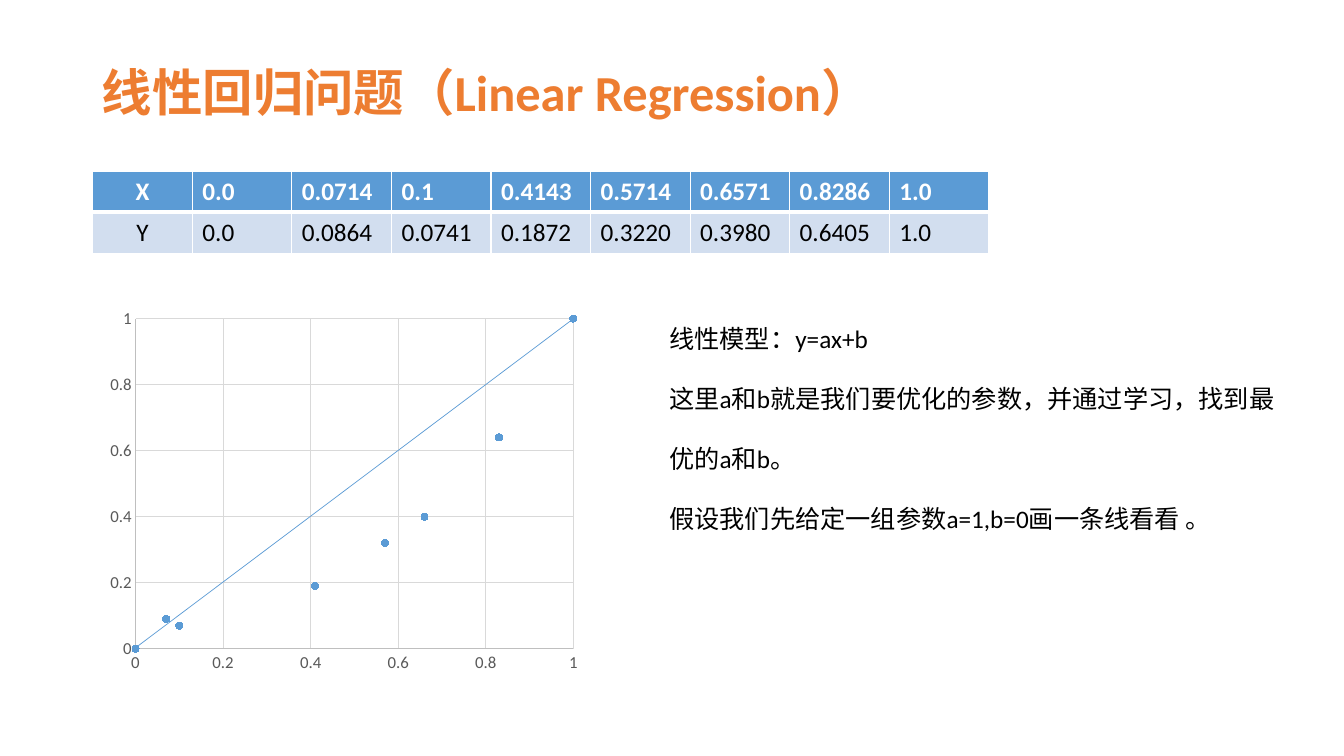
from dataclasses import dataclass

from lxml import etree
from pptx import Presentation
from pptx.chart.data import XyChartData
from pptx.dml.color import RGBColor
from pptx.enum.chart import XL_CHART_TYPE as CHART, XL_MARKER_STYLE as MARKER
from pptx.enum.chart import XL_TICK_MARK as TICK
from pptx.enum.shapes import MSO_CONNECTOR as CONNECTOR
from pptx.enum.text import MSO_ANCHOR as ANCHOR, PP_ALIGN as ALIGN
from pptx.oxml import parse_xml
from pptx.oxml.ns import nsdecls, qn
from pptx.util import Inches, Pt


@dataclass(frozen=True)
class Theme:
    font: str = "Calibri"
    title: str = "ED7D31"
    accent: str = "5B9BD5"
    band: str = "D2DEEF"
    ink: str = "000000"
    paper: str = "FFFFFF"
    axis_text: str = "595959"
    axis: str = "BFBFBF"
    grid: str = "D9D9D9"
    title_size: int = 36
    body_size: int = 18
    axis_size: int = 12
    chart_size: int = 10


THEME = Theme()
X_VALUES = "0.0 0.0714 0.1 0.4143 0.5714 0.6571 0.8286 1.0".split()
Y_VALUES = "0.0 0.0864 0.0741 0.1872 0.3220 0.3980 0.6405 1.0".split()
MODEL_NOTES = [
    "线性模型：y=ax+b",
    "这里a和b就是我们要优化的参数，并通过学习，找到最",
    "优的a和b。",
    "假设我们先给定一组参数a=1,b=0画一条线看看 。",
]


def rgb(value):
    return RGBColor.from_string(value)


def format_font(font, size, color, bold=False):
    font.name = THEME.font
    font.size = Pt(size)
    font.bold = bold
    font.color.rgb = rgb(color)


def write_text(p, text, size=THEME.body_size, color=THEME.ink, bold=False,
               align=ALIGN.LEFT):
    p.alignment = align
    r = p.add_run()
    r.text = text
    format_font(r.font, size, color, bold)


def format_line(line, color, width):
    line.color.rgb = rgb(color)
    line.width = Pt(width)


def add_title(slide, text):
    sp = slide.shapes.title
    sp.left, sp.top = Inches(0.91), Inches(0.4)
    sp.width, sp.height = Inches(9.33), Inches(1.09)
    tf = sp.text_frame
    tf.vertical_anchor = ANCHOR.MIDDLE
    p = tf.paragraphs[0]
    p.line_spacing = 0.9
    write_text(p, text, size=THEME.title_size, color=THEME.title, bold=True)


def set_borders(cell, **widths):
    """Draw cell borders; widths in points, keyed by L, R, T and B."""
    tc_pr = cell._tc.get_or_add_tcPr()
    for side, width in widths.items():
        tc_pr.append(parse_xml(
            f'<a:ln{side} {nsdecls("a")} w="{Pt(width)}"><a:solidFill>'
            f'<a:srgbClr val="{THEME.paper}"/></a:solidFill></a:ln{side}>'))


def add_data_table(slide, rows):
    frame = slide.shapes.add_table(
        len(rows), len(rows[0]), Inches(0.92), Inches(1.7),
        Inches(8.89), Inches(0.81))
    for i, row in enumerate(rows):
        header = i == 0
        for j, text in enumerate(row):
            cell = frame.table.cell(i, j)
            set_borders(cell, L=1, R=1, T=1, B=3 if header else 1)
            cell.fill.solid()
            cell.fill.fore_color.rgb = rgb(THEME.accent if header else THEME.band)
            write_text(cell.text_frame.paragraphs[0], text, bold=header,
                       color=THEME.paper if header else THEME.ink,
                       align=ALIGN.LEFT if j else ALIGN.CENTER)


def format_axis(axis):
    axis.minimum_scale, axis.maximum_scale, axis.major_unit = 0, 1, 0.2
    axis.major_tick_mark = axis.minor_tick_mark = TICK.NONE
    axis.has_major_gridlines = True
    format_line(axis.major_gridlines.format.line, THEME.grid, 0.75)
    format_line(axis.format.line, THEME.axis, 0.75)
    axis.tick_labels.number_format = "General"
    axis.tick_labels.number_format_is_linked = False
    format_font(axis.tick_labels.font, THEME.axis_size, THEME.axis_text)


def set_plot_layout(chart, x, y, w, h):
    """Place the inner plot area, in fractions of the chart."""
    plot_area = chart._chartSpace.chart.plotArea
    for old in plot_area.findall(qn("c:layout")):
        plot_area.remove(old)
    layout = etree.Element(qn("c:layout"))
    manual = etree.SubElement(layout, qn("c:manualLayout"))
    settings = dict(layoutTarget="inner", xMode="edge", yMode="edge",
                    x=x, y=y, w=w, h=h)
    for tag, value in settings.items():
        etree.SubElement(manual, qn(f"c:{tag}")).set("val", str(value))
    plot_area.insert(0, layout)


def add_scatter(slide, xs, ys):
    data = XyChartData()
    points = data.add_series("Series 1")
    for x, y in zip(xs, ys):
        points.add_data_point(round(float(x), 2), round(float(y), 2))
    chart = slide.shapes.add_chart(
        CHART.XY_SCATTER, Inches(0.91), Inches(2.97),
        Inches(5.43), Inches(3.81), data).chart
    chart.has_title = chart.has_legend = False
    format_font(chart.font, THEME.chart_size, THEME.ink)
    chart.plots[0].vary_by_categories = False
    format_axis(chart.category_axis)
    format_axis(chart.value_axis)
    series = chart.plots[0].series[0]
    series.smooth = False
    series.format.line.fill.background()
    marker = series.marker
    marker.style, marker.size = MARKER.CIRCLE, 5
    marker.format.fill.solid()
    marker.format.fill.fore_color.rgb = rgb(THEME.accent)
    format_line(marker.format.line, THEME.accent, 0.75)
    set_plot_layout(chart, 0.08, 0.05, 0.8, 0.86)


def add_notes_box(slide, lines):
    sp = slide.shapes.add_textbox(Inches(6.54), Inches(3.16),
                                  Inches(6.44), Inches(2.83))
    tf = sp.text_frame
    tf.word_wrap = True
    tf.margin_right = 0
    for i, text in enumerate(lines):
        p = tf.add_paragraph() if i else tf.paragraphs[0]
        p.line_spacing = Pt(21.5)
        p.space_before = Pt(21.5 if i else 0)
        write_text(p, text)


def add_model_line(slide):
    """Draw y = x across the plot area."""
    line = slide.shapes.add_connector(
        CONNECTOR.STRAIGHT, Inches(1.34), Inches(6.43),
        Inches(5.69), Inches(3.16))
    format_line(line.line, THEME.accent, 0.5)
    etree.SubElement(line._element.spPr, qn("a:effectLst"))


def main():
    prs = Presentation()
    prs.slide_width, prs.slide_height = Inches(13.33), Inches(7.5)
    slide = prs.slides.add_slide(prs.slide_layouts.get_by_name("Title Only"))
    add_title(slide, "线性回归问题（Linear Regression）")
    add_data_table(slide, [["X", *X_VALUES], ["Y", *Y_VALUES]])
    add_scatter(slide, X_VALUES, Y_VALUES)
    add_notes_box(slide, MODEL_NOTES)
    add_model_line(slide)
    prs.save("out.pptx")


if __name__ == "__main__":
    main()
